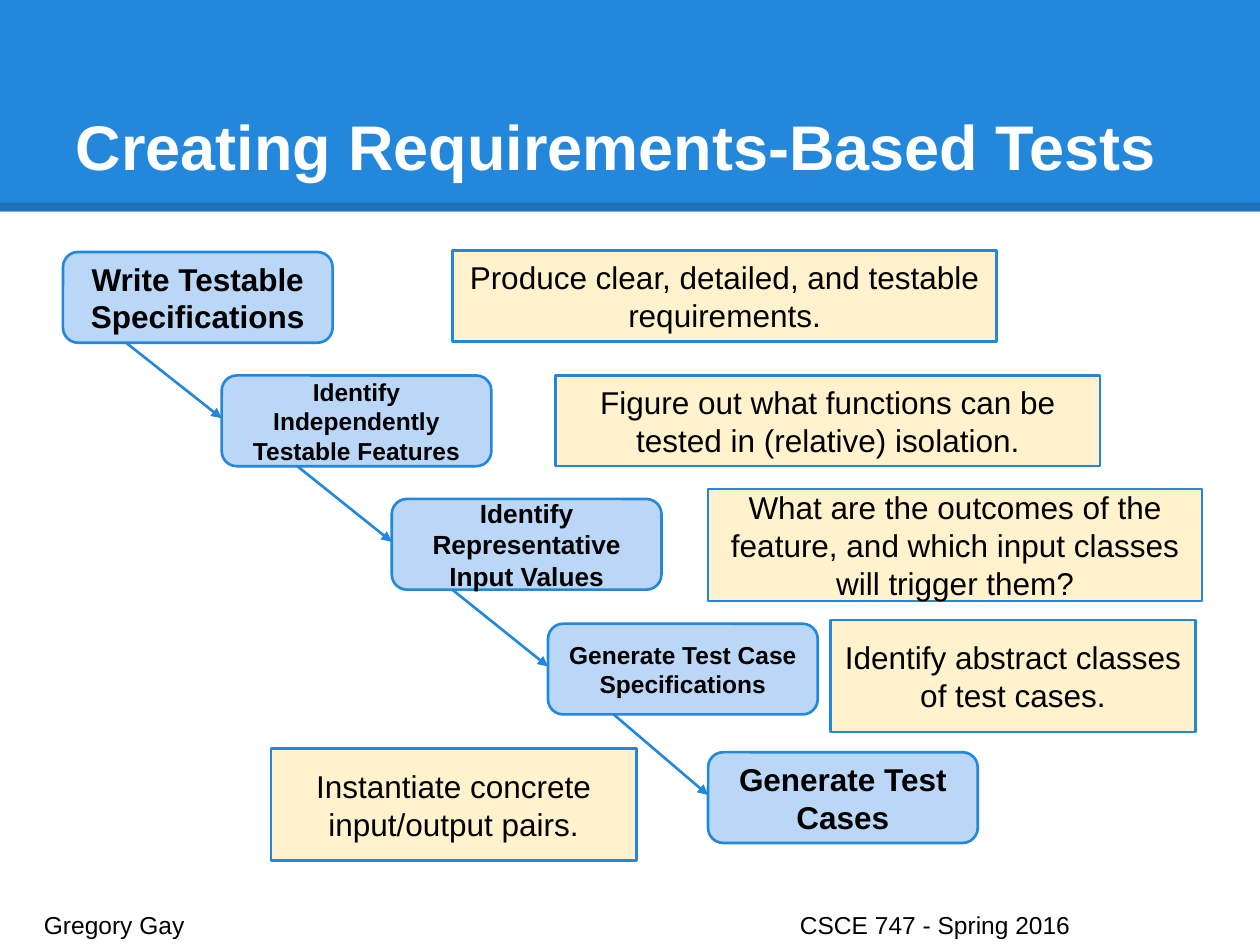
from lxml import etree
from pptx import Presentation
from pptx.dml.color import RGBColor
from pptx.enum import shapes, text
from pptx.oxml import parse_xml
from pptx.oxml.ns import nsdecls, qn
from pptx.util import Inches, Pt

BLUE = RGBColor(0x23, 0x88, 0xDB)
PALE_BLUE = RGBColor(0xBB, 0xD7, 0xF8)
CREAM = RGBColor(0xFF, 0xF2, 0xCC)
BLACK = RGBColor(0, 0, 0)
WHITE = RGBColor(0xFF, 0xFF, 0xFF)


def write(sp, words, size, color, bold, align, anchor):
    tf = sp.text_frame
    tf.text = words
    tf.word_wrap = True
    tf.auto_size = text.MSO_AUTO_SIZE.NONE
    tf.vertical_anchor = anchor
    tf.margin_left = tf.margin_right = tf.margin_top = tf.margin_bottom = Inches(0.1)
    p = tf.paragraphs[0]
    p.alignment = align
    for r in p.runs:
        r.font.name = "Arial"
        r.font.size = Pt(size)
        r.font.bold = bold
        r.font.color.rgb = color


def add_line(x1, y1, x2, y2, color, width):
    ln = s.shapes.add_connector(shapes.MSO_CONNECTOR.STRAIGHT,
                                Inches(x1), Inches(y1), Inches(x2), Inches(y2))
    ln.line.color.rgb = color
    ln.line.width = Pt(width)
    etree.SubElement(ln.element.spPr, qn("a:effectLst"))
    return ln


prs = Presentation()
prs.slide_width, prs.slide_height = Inches(10), Inches(7.5)
s = prs.slides.add_slide(prs.slide_layouts[5])

band = s.shapes.add_shape(shapes.MSO_SHAPE.RECTANGLE, 0, 0, Inches(10), Inches(1.68))
band.shadow.inherit = False
band.fill.solid()
band.fill.fore_color.rgb = BLUE
band.line.fill.background()

edge = add_line(0, 1.64, 10, 1.64, BLACK, 4.5)
color = edge.element.spPr.find(".//" + qn("a:srgbClr"))
etree.SubElement(color, qn("a:alpha"), val="15000")

title = s.shapes.title
title.left, title.top, title.width, title.height = (Inches(v) for v in (0.5, 0.3, 9, 1.25))
write(title, "Creating Requirements-Based Tests", 36, WHITE, True,
      text.PP_ALIGN.LEFT, text.MSO_ANCHOR.BOTTOM)
edge.element.addnext(title.element)

STEP_W, STEP_H = 2.14, 0.72
steps = [
    (0.5, 2, "Write Testable Specifications", 18),
    (1.76, 2.98, "Identify Independently Testable Features", 14),
    (3.11, 3.96, "Identify Representative Input Values", 15),
    (4.35, 4.95, "Generate Test Case Specifications", 14),
    (5.62, 5.97, "Generate Test Cases", 18),
]
notes = [
    (3.59, 1.99, 4.32, 0.72, "Produce clear, detailed, and testable requirements."),
    (4.41, 2.98, 4.32, 0.72, "Figure out what functions can be tested in (relative) isolation."),
    (5.62, 3.88, 3.92, 0.89,
     "What are the outcomes of the feature, and which input classes will trigger them?"),
    (6.59, 4.92, 2.9, 0.89, "Identify abstract classes of test cases."),
    (2.15, 5.94, 2.9, 0.89, "Instantiate concrete input/output pairs."),
]
boxes = [(shapes.MSO_SHAPE.ROUNDED_RECTANGLE, PALE_BLUE, True, x, y, STEP_W, STEP_H, words, size)
         for x, y, words, size in steps]
boxes += [(shapes.MSO_SHAPE.RECTANGLE, CREAM, False, x, y, w, h, words, 18)
          for x, y, w, h, words in notes]
for kind, fill, bold, x, y, w, h, words, size in boxes:
    sp = s.shapes.add_shape(kind, Inches(x), Inches(y), Inches(w), Inches(h))
    sp.shadow.inherit = False
    sp.fill.solid()
    sp.fill.fore_color.rgb = fill
    sp.line.color.rgb = BLUE
    sp.line.width = Pt(1.5)
    write(sp, words, size, BLACK, bold, text.PP_ALIGN.CENTER, text.MSO_ANCHOR.MIDDLE)

for start_x, step, following in zip((1, 2.36, 3.59, 4.87), steps, steps[1:]):
    arrow = add_line(start_x, step[1] + STEP_H, following[0], following[1] + 0.34, BLUE, 1.5)
    etree.SubElement(arrow.line._get_or_add_ln(), qn("a:tailEnd"), type="triangle")

footer = s.shapes.add_textbox(Inches(0.25), Inches(7.12), Inches(9.51), Inches(0.3))
write(footer, "Gregory Gay\tCSCE 747 - Spring 2016", 14, BLACK, False,
      text.PP_ALIGN.LEFT, text.MSO_ANCHOR.TOP)
pPr = footer.text_frame.paragraphs[0]._p.get_or_add_pPr()
pPr.append(parse_xml(f'<a:tabLst {nsdecls("a")}><a:tab pos="{Inches(6)}" algn="l"/></a:tabLst>'))

prs.save("out.pptx")
